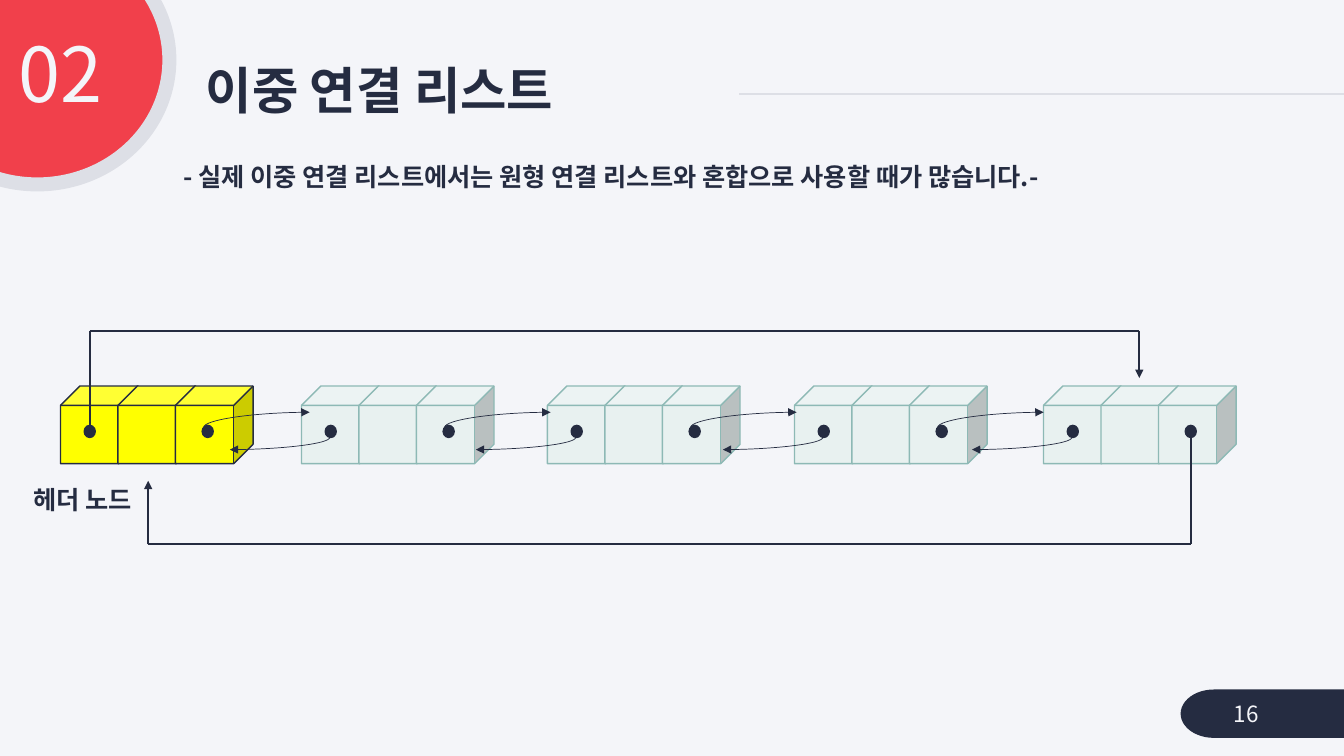
from itertools import pairwise

from lxml.etree import SubElement
from pptx import Presentation
from pptx.dml.color import RGBColor
from pptx.enum.shapes import MSO_CONNECTOR as Link, MSO_SHAPE as Shape
from pptx.enum.text import MSO_ANCHOR as Anchor, MSO_AUTO_SIZE as AutoSize, PP_ALIGN as Align
from pptx.oxml.ns import qn
from pptx.util import Inches, Pt

TITLE_ONLY = 5
NAVY, PAPER, RED, SILVER = "252C41", "F4F5F9", "F1404B", "DDDFE6"
MINT, TEAL, YELLOW = "E8F1F0", "8DB9B5", "FFFF00"


def rgb(code):
    return RGBColor.from_string(code)


def grid(*cells):
    """Lengths in grid cells, a tenth of an inch each."""
    return [Inches(cell / 10) for cell in cells]


class SlideBuilder:
    font_name = "Noto Sans CJK KR"

    def __init__(self, deck):
        self.slide = deck.slides.add_slide(deck.slide_layouts[TITLE_ONLY])
        self.shapes = self.slide.shapes
        backdrop = self.slide.background.fill
        backdrop.solid()
        backdrop.fore_color.rgb = rgb(PAPER)

    def fill_text(self, holder, words, size, color=NAVY, bold=False, anchor=Anchor.TOP,
                  align=Align.LEFT, spacing=1.0):
        frame = holder.text_frame
        frame_format = {"word_wrap": True, "auto_size": AutoSize.NONE, "vertical_anchor": anchor}
        for name, value in frame_format.items():
            setattr(frame, name, value)
        paragraph = frame.paragraphs[0]
        paragraph.alignment, paragraph.line_spacing = align, spacing
        run = paragraph.add_run()
        run.text = words
        run.font.color.rgb = rgb(color)
        for name, value in {"size": Pt(size), "bold": bold, "name": self.font_name}.items():
            setattr(run.font, name, value)
        SubElement(run.font._element, qn("a:ea"), typeface=self.font_name)

    def title(self, box, words, **style):
        heading = self.shapes.title
        for name, value in zip(("left", "top", "width", "height"), grid(*box)):
            setattr(heading, name, value)
        self.fill_text(heading, words, **style)

    def text(self, box, words, **style):
        self.fill_text(self.shapes.add_textbox(*grid(*box)), words, **style)

    def shape(self, kind, box, fill, line=None, weight=1):
        figure = self.shapes.add_shape(kind, *grid(*box))
        figure.shadow.inherit = False
        figure.fill.solid()
        figure.fill.fore_color.rgb = rgb(fill)
        if line:
            figure.line.color.rgb = rgb(line)
            figure.line.width = Pt(weight)
        else:
            figure.line.fill.background()

    def connect(self, start, end, kind=Link.STRAIGHT, color=NAVY, weight=1.5, arrow=False):
        connector = self.shapes.add_connector(kind, *grid(*start, *end))
        connector.line.color.rgb = rgb(color)
        connector.line.width = Pt(weight)
        properties = connector._element.spPr
        if arrow:
            SubElement(properties.find(qn("a:ln")), qn("a:tailEnd"), type="triangle")
        SubElement(properties, qn("a:effectLst"))
        return properties

    def wire(self, *corners):
        """Straight segments through the corners, with an arrowhead on the last."""
        for start, end in pairwise(corners):
            self.connect(start, end, arrow=end == corners[-1])

    def arc(self, start, across, down):
        """Quarter-curve arrow that leaves vertically and arrives horizontally."""
        middle_x, middle_y = start[0] + across / 2, start[1] + down / 2
        # The frame is turned a quarter, so its two extents trade places.
        properties = self.connect((middle_x - down / 2, middle_y + across / 2),
                                  (middle_x + down / 2, middle_y - across / 2),
                                  Link.CURVE, weight=0.5, arrow=True)
        frame = properties.find(qn("a:xfrm"))
        frame.set("rot", "5400000")
        for flip in ("flipH", "flipV"):
            frame.set(flip, "1" if across > 0 else "0")
        properties.find(qn("a:prstGeom")).set("prst", "curvedConnector2")

    def node(self, left, top, fill, line):
        """Three joined cubes with a pointer dot in the first and last."""
        for part in range(3):
            self.shape(Shape.CUBE, (left + 5.7 * part, top, 7.7, 7.7), fill, line)
        for offset in (2.35, 14.05):
            self.shape(Shape.OVAL, (left + offset, top + 3.9, 1.1, 1.2), NAVY, NAVY)


def main():
    deck = Presentation()
    deck.slide_width, deck.slide_height = Inches(13.33), Inches(7.5)
    page = SlideBuilder(deck)

    page.connect((73.3, 9.3), (133.3, 9.3), color=SILVER)
    page.shape(Shape.OVAL, (-9.4, -6.4, 26.2, 24.7), RED, SILVER, 10)
    page.shape(Shape.FLOWCHART_TERMINATOR, (117.1, 68.4, 20.5, 4.8), NAVY)
    page.title((19.4, 5.9, 53.9, 6.7), "이중 연결 리스트", size=36, bold=True,
               anchor=Anchor.MIDDLE, spacing=0.9)
    page.text((-1.1, 3.2, 12.2, 9.2), "02", size=54, color=PAPER, align=Align.RIGHT, spacing=0.9)
    page.text((121.4, 68.8, 10.9, 4), "16", size=16, color=PAPER, anchor=Anchor.MIDDLE)
    page.text((17.2, 15.5, 93.9, 4),
              "- 실제 이중 연결 리스트에서는 원형 연결 리스트와 혼합으로 사용할 때가 많습니다.-",
              size=18, bold=True)

    node_top = 38.3
    header, *members = node_lefts = (6, 29.9, 54.3, 78.8, 103.5)
    page.node(header, node_top, YELLOW, NAVY)
    for left in members:
        page.node(left, node_top, MINT, TEAL)
    for left, following in pairwise(node_lefts):
        page.arc((left + 14.2, node_top + 4.1), 10.5, -1.5)
        page.arc((following + 2.8, node_top + 5.1), -9.9, 1.2)

    page.wire((8.9, 42.3), (8.9, 32.8), (113, 32.8), (113, 37.5))
    page.wire((118.1, 43.4), (118.1, 54), (14.7, 54), (14.7, 47.7))
    page.text((2.3, 47.6, 13.4, 4), "헤더 노드", size=18, bold=True)
    deck.save("out.pptx")


if __name__ == "__main__":
    main()
